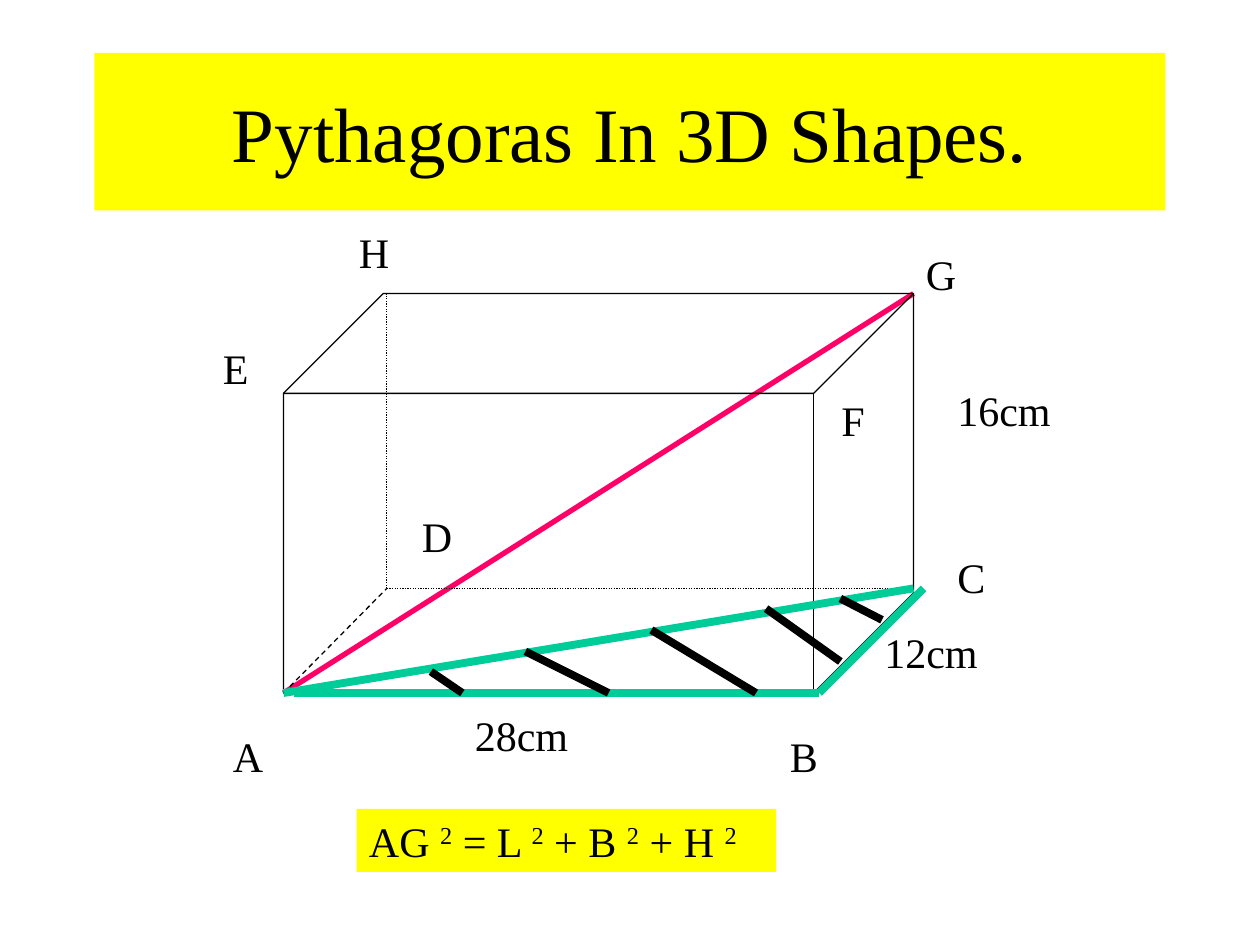
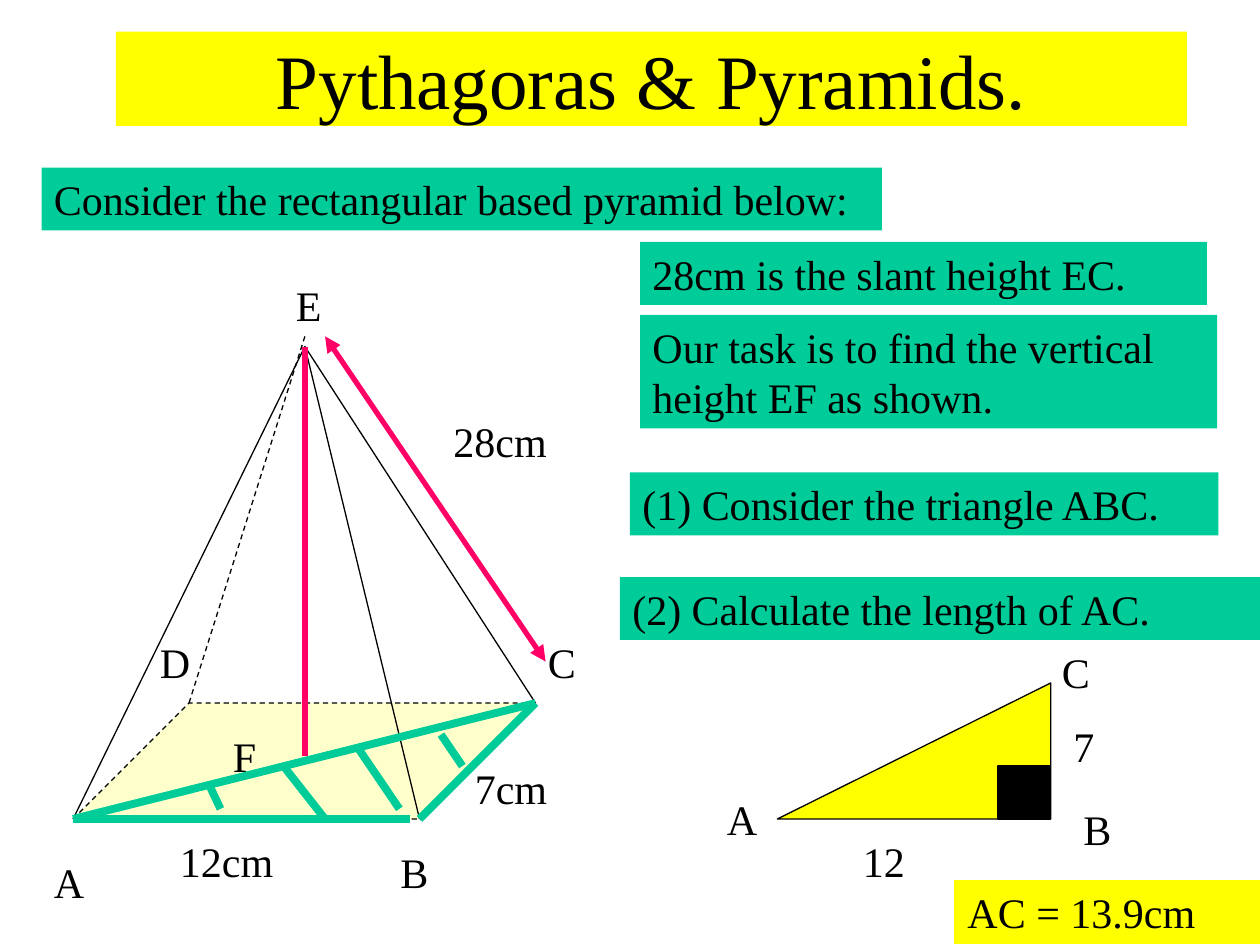
import lxml.etree
import pptx
import pptx.util
import pptx.dml.color
import pptx.enum.dml
import pptx.enum.shapes
import pptx.enum.text
import pptx.oxml.ns

Inches = pptx.util.Inches
SHAPE = pptx.enum.shapes.MSO_SHAPE
DASH = pptx.enum.dml.MSO_LINE
ALIGN = pptx.enum.text.PP_ALIGN
ANCHOR = pptx.enum.text.MSO_ANCHOR

# Shared look
FONT = "Times New Roman"
BLACK, YELLOW, GREEN, PINK, CREAM = "000000", "FFFF00", "00CC99", "FF0066", "FFFFCC"
STROKES = {  # colour, width in points, dash
    "edge": (BLACK, 0.75, None),
    "hidden": (BLACK, 0.75, DASH.DASH),
    "dotted": (BLACK, 0.75, DASH.ROUND_DOT),
    "base": (BLACK, 2.25, None),
    "height": (PINK, 3, None),
    "triangle": (GREEN, 4.5, None),
    "hatch": (BLACK, 4.5, None),
}

# Slide 1: cuboid. Segments are (start, end, stroke), labels (text, left, top, width)
CUBOID_TITLE = ("Pythagoras In 3D Shapes.", 0.75, 0.42, 8.5, 1.25)
CUBOID = (2.25, 2.33, 5, 3.17)
A, B, C, D, G = (2.25, 5.5), (6.5, 5.5), (7.25, 4.67), (3.07, 4.67), (7.25, 2.33)
SPACE_DIAGONAL = [(A, G, "height")]
HIDDEN_EDGES = [(A, D, "hidden"), (D, (3.07, 2.33), "dotted"), (D, C, "dotted")]
BASE_TRIANGLE = [(A, C, "triangle"), ((7.33, 4.67), B, "triangle"),
                 (B, (2.33, 5.5), "triangle")]
BASE_HATCHING = [
    ((4.17, 5.17), (4.83, 5.5), "hatch"), ((5.17, 5), (6, 5.5), "hatch"),
    ((3.42, 5.33), (3.67, 5.5), "hatch"), ((6.08, 4.83), (6.67, 5.25), "hatch"),
    ((6.67, 4.75), (7, 4.92), "hatch"),
]
CUBOID_LABELS = [
    ("A", 1.75, 5.75, 0.58), ("B", 6.17, 5.75, 0.58), ("C", 7.5, 4.33, 0.58),
    ("D", 3.25, 4, 0.58), ("E", 1.67, 2.67, 0.58), ("F", 6.58, 3.08, 0.58),
    ("G", 7.25, 1.92, 0.58), ("H", 2.75, 1.75, 0.58),
    ("28cm", 3.67, 5.58, 1.08), ("12cm", 6.92, 4.92, 1.33), ("16cm", 7.5, 3, 1.17),
]
# Parts between carets are raised
FORMULA = ("AG ^2^ = L ^2^ + B ^2^ + H ^2", 2.83, 6.42, 3.33)

# Slide 2: pyramid
PYRAMID_TITLE = ("Pythagoras & Pyramids.", 0.92, 0.25, 8.5, 0.75)
PYRAMID_BASE = (0.58, 5.58, 3.67, 0.92)
PA, PB, PC, PD, APEX = (0.58, 6.5), (3.33, 6.5), (4.25, 5.58), (1.5, 5.58), (2.42, 2.75)
FRONT_END = (3.25, 6.5)
PYRAMID_EDGES = [
    (PA, APEX, "edge"), (APEX, PC, "edge"), (APEX, PB, "edge"),
    ((2.42, 2.67), PD, "hidden"), (PA, FRONT_END, "base"), (PB, PC, "base"),
    (APEX, (2.42, 6), "height"),
]
SLANT = ((2.58, 2.67), (4.33, 5.25), "height")
PYRAMID_TRIANGLE = [
    (PA, PC, "triangle"), (PC, PB, "triangle"), (PA, FRONT_END, "triangle"),
    ((1.67, 6.25), (1.75, 6.42), "triangle"), ((2.25, 6.08), (2.58, 6.5), "triangle"),
    ((2.83, 5.92), (3.17, 6.42), "triangle"), ((3.5, 5.83), (3.67, 6.08), "triangle"),
]
PYRAMID_LABELS = [
    ("A", 0.33, 6.75, 0.58), ("B", 3.08, 6.67, 0.58), ("C", 4.25, 5, 0.5),
    ("D", 1.17, 5, 0.5), ("E", 2.25, 2.17, 0.58), ("F", 1.75, 5.75, 0.42),
    ("12cm", 1.33, 6.58, 1.33), ("7cm", 3.67, 6, 0.92), ("28cm", 3.5, 3.25, 1.08),
]
STEPS = [  # text, left, top, width, height
    ("Consider the rectangular based pyramid below:", 0.33, 1.33, 6.67, 0.5),
    ("28cm is the slant height EC.", 5.08, 1.92, 4.5, 0.5),
    ("Our task is to find the vertical height EF as shown.", 5.08, 2.5, 4.58, 0.9),
    ("(1) Consider the triangle ABC.", 5, 3.75, 4.67, 0.5),
    ("(2) Calculate the length of AC.", 4.92, 4.58, 5.08, 0.5),
]
RIGHT_TRIANGLE = (6.17, 5.42, 2.17, 1.08)
RIGHT_ANGLE = (7.92, 6.08, 0.42, 0.42)
TRIANGLE_LABELS = [
    ("12", 6.75, 6.58, 0.83), ("7", 8.42, 5.67, 0.42), ("A", 5.67, 6.25, 0.5),
    ("C", 8.33, 5.08, 0.75), ("B", 8.5, 6.33, 0.58),
]
ANSWER = ("AC = 13.9cm", 7.58, 6.99, 2.42)


def rgb(value):
    return pptx.dml.color.RGBColor.from_string(value)


def add_element(parent, tag):
    return lxml.etree.SubElement(parent, pptx.oxml.ns.qn(tag))


def set_stroke(line, stroke):
    colour, width, dash = STROKES[stroke]
    line.color.rgb = rgb(colour)
    line.width = pptx.util.Pt(width)
    if dash:
        line.dash_style = dash


def add_text(slide, text, left, top, width, height=0.5, fill=None, size=24):
    box = slide.shapes.add_textbox(*map(Inches, (left, top, width, height)))
    if fill:
        box.fill.solid()
        box.fill.fore_color.rgb = rgb(fill)
    box.text_frame.word_wrap = True
    paragraph = box.text_frame.paragraphs[0]
    for index, part in enumerate(text.split("^")):
        run = paragraph.add_run()
        run.text = part
        run.font.name = FONT
        run.font.size = pptx.util.Pt(size)
        run.font.color.rgb = rgb(BLACK)
        if index % 2:
            run.font._element.set("baseline", "30000")
    return box


def add_title(slide, title):
    band = add_text(slide, *title, fill=YELLOW, size=44)
    band.text_frame.vertical_anchor = ANCHOR.MIDDLE
    band.text_frame.paragraphs[0].alignment = ALIGN.CENTER


def add_labels(slide, labels):
    for label in labels:
        add_text(slide, *label)


def add_figure(slide, preset, place, fill=None, stroke="edge"):
    figure = slide.shapes.add_shape(preset, *map(Inches, place))
    figure.shadow.inherit = False
    if fill:
        figure.fill.solid()
        figure.fill.fore_color.rgb = rgb(fill)
    else:
        figure.fill.background()
    set_stroke(figure.line, stroke)
    return figure


def add_segment(slide, start, end, stroke):
    segment = slide.shapes.add_connector(
        pptx.enum.shapes.MSO_CONNECTOR.STRAIGHT, *map(Inches, start + end))
    set_stroke(segment.line, stroke)
    add_element(segment._element.spPr, "a:effectLst")
    return segment


def add_segments(slide, segments):
    for segment in segments:
        add_segment(slide, *segment)


def add_arrowheads(segment):
    line = segment.line._get_or_add_ln()
    for end in ("a:headEnd", "a:tailEnd"):
        add_element(line, end).set("type", "triangle")


def build_cuboid(slide):
    add_title(slide, CUBOID_TITLE)
    add_segments(slide, SPACE_DIAGONAL)
    add_figure(slide, SHAPE.CUBE, CUBOID).adjustments[0] = 0.25
    add_segments(slide, HIDDEN_EDGES)
    add_labels(slide, CUBOID_LABELS)
    add_segments(slide, BASE_TRIANGLE + BASE_HATCHING)
    add_text(slide, *FORMULA, fill=YELLOW)


def build_pyramid(slide):
    add_title(slide, PYRAMID_TITLE)
    # Pyramid with its base triangle
    base = add_figure(slide, SHAPE.PARALLELOGRAM, PYRAMID_BASE, CREAM, "hidden")
    base.adjustments[0] = 1
    add_segments(slide, PYRAMID_EDGES)
    add_labels(slide, PYRAMID_LABELS)
    add_arrowheads(add_segment(slide, *SLANT))
    add_segments(slide, PYRAMID_TRIANGLE)
    # Working
    for step in STEPS:
        add_text(slide, *step, fill=GREEN)
    answer = add_text(slide, *ANSWER, fill=YELLOW)
    answer.line.color.rgb = rgb(YELLOW)
    answer.line.width = pptx.util.Pt(0.75)
    # Triangle ABC
    triangle = add_figure(slide, SHAPE.RIGHT_TRIANGLE, RIGHT_TRIANGLE, YELLOW)
    triangle._element.spPr.xfrm.set("flipH", "1")
    add_figure(slide, SHAPE.RECTANGLE, RIGHT_ANGLE, BLACK)
    add_labels(slide, TRIANGLE_LABELS)


def main():
    deck = pptx.Presentation()
    deck.slide_width, deck.slide_height = Inches(10), Inches(7.5)
    for build in (build_cuboid, build_pyramid):
        build(deck.slides.add_slide(deck.slide_layouts[6]))
    deck.save("out.pptx")


if __name__ == "__main__":
    main()
